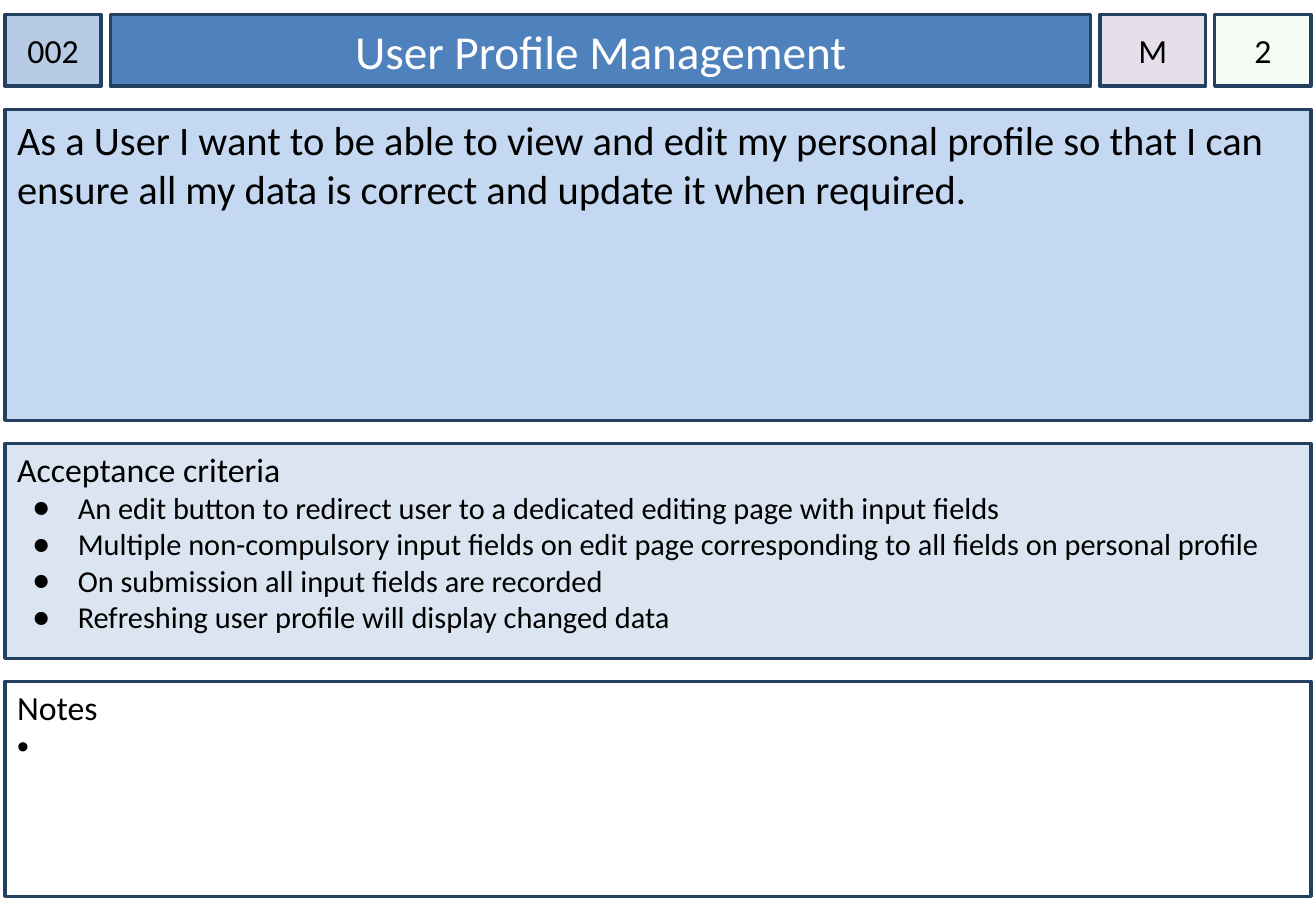
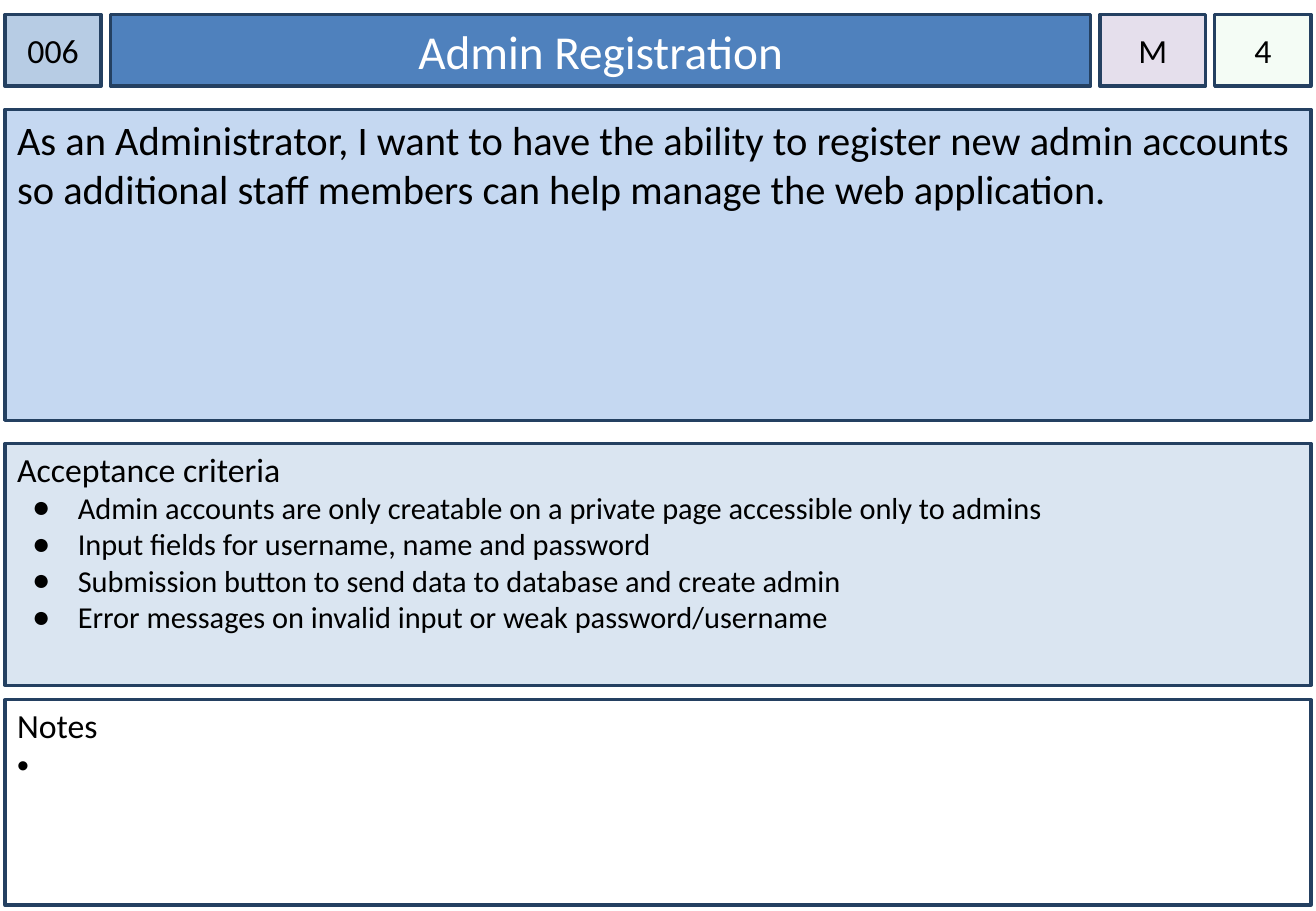
from dataclasses import dataclass

from lxml.etree import SubElement
from pptx import Presentation
from pptx.dml.color import RGBColor
from pptx.enum.shapes import MSO_SHAPE as Shape
from pptx.enum.text import MSO_ANCHOR as Anchor, MSO_AUTO_SIZE as AutoSize, PP_ALIGN as Align
from pptx.oxml.ns import qn
from pptx.util import Pt


@dataclass(frozen=True)
class Theme:
    font: str = "Calibri"
    title_size: float = 28
    story_size: float = 24
    label_size: float = 20
    item_size: float = 18
    border_width: float = 2
    text: str = "000000"
    title_text: str = "FFFFFF"
    border: str = "244061"
    number_fill: str = "B7CCE4"
    title_fill: str = "4F81BD"
    priority_fill: str = "E5DFEC"
    points_fill: str = "CCF0CD"
    points_opacity: int = 20
    story_fill: str = "C5D8F1"
    criteria_fill: str = "DAE5F1"
    remarks_fill: str = "FFFFFF"


T = Theme()
SLIDE_W, SLIDE_H = 780, 540
MARGIN, WIDTH = 3, 774
HEADER_TOP, HEADER_H = 8.6, 42.5
HEADER_WIDTHS, HEADER_GAP = (57, 581, 62.5, 57), 5.5
PANEL_GAP, STORY_H = 13.7, 184.4
INSET_X, INSET_Y, PANEL_INSET_Y = 7.2, 3.6, 3

CARDS = [
    {
        "number": "002", "title": "User Profile Management", "priority": "M", "points": "2",
        "story": "As a User I want to be able to view and edit my personal profile so that "
                 "I can ensure all my data is correct and update it when required.",
        "criteria": [
            "An edit button to redirect user to a dedicated editing page with input fields",
            "Multiple non-compulsory input fields on edit page corresponding to all fields "
            "on personal profile",
            "On submission all input fields are recorded",
            "Refreshing user profile will display changed data",
        ],
        "criteria_h": 127.4, "remarks_gap": PANEL_GAP, "remarks_h": 127.4,
    },
    {
        "number": "006", "title": "Admin Registration", "priority": "M", "points": "4",
        "story": "As an Administrator, I want to have the ability to register new admin accounts "
                 "so additional staff members can help manage the web application.",
        "criteria": [
            "Admin accounts are only creatable on a private page accessible only to admins",
            "Input fields for username, name and password",
            "Submission button to send data to database and create admin",
            "Error messages on invalid input or weak password/username",
        ],
        "criteria_h": 143.3, "remarks_gap": 8.6, "remarks_h": 121.7,
    },
]


def set_all(target, values):
    for name, value in values.items():
        setattr(target, name, value)


def style_box(s, box, fill, anchor=Anchor.TOP, inset_x=INSET_X, top=INSET_Y):
    """Place a shape or placeholder, and give it the card border, fill and insets."""
    set_all(s, dict(zip(("left", "top", "width", "height"), map(Pt, box))))
    s.fill.solid()
    s.fill.fore_color.rgb = RGBColor.from_string(fill)
    s.line.color.rgb = RGBColor.from_string(T.border)
    s.line.width = Pt(T.border_width)
    tf = s.text_frame
    set_all(tf, {
        "word_wrap": True, "auto_size": AutoSize.NONE, "vertical_anchor": anchor,
        "margin_left": Pt(inset_x), "margin_right": Pt(inset_x),
        "margin_top": Pt(top), "margin_bottom": Pt(INSET_Y),
    })
    return tf


def add_box(slide, box, fill, **style):
    s = slide.shapes.add_shape(Shape.RECTANGLE, *map(Pt, box))
    s.shadow.inherit = False
    style_box(s, box, fill, **style)
    return s


def write(p, text, size, color=T.text, align=Align.LEFT):
    p.alignment = align
    r = p.add_run()
    r.text = text
    set_all(r.font, {"name": T.font, "size": Pt(size)})
    r.font.color.rgb = RGBColor.from_string(color)


def add_bullet(tf, text, size, char, margin, hanging):
    p = tf.add_paragraph()
    pPr = p._p.get_or_add_pPr()
    pPr.set("marL", str(Pt(margin)))
    pPr.set("indent", str(-Pt(hanging)))
    SubElement(SubElement(pPr, qn("a:buClr")), qn("a:srgbClr"), val=T.text)
    SubElement(pPr, qn("a:buFont"), typeface="Arial")
    SubElement(pPr, qn("a:buChar"), char=char)
    write(p, text, size)


def set_opacity(s, percent):
    color = s.element.spPr.find(qn("a:solidFill"))[0]
    SubElement(color, qn("a:alpha"), val=str(percent * 1000))


def add_badge(slide, box, fill, text):
    s = add_box(slide, box, fill, anchor=Anchor.MIDDLE, inset_x=0)
    write(s.text_frame.paragraphs[0], text, T.label_size, align=Align.CENTER)
    return s


def add_header(slide, card):
    boxes, left = [], MARGIN
    for width in HEADER_WIDTHS:
        boxes.append((left, HEADER_TOP, width, HEADER_H))
        left += width + HEADER_GAP
    number_box, title_box, priority_box, points_box = boxes

    tf = style_box(slide.shapes.title, title_box, T.title_fill, anchor=Anchor.MIDDLE)
    write(tf.paragraphs[0], card["title"], T.title_size, T.title_text, Align.CENTER)
    add_badge(slide, number_box, T.number_fill, card["number"])
    add_badge(slide, priority_box, T.priority_fill, card["priority"])
    set_opacity(add_badge(slide, points_box, T.points_fill, card["points"]), T.points_opacity)


def add_panel(slide, top, height, fill, text, size=T.label_size, inset=PANEL_INSET_Y):
    """Add a full-width panel that opens with text; return its text frame."""
    s = add_box(slide, (MARGIN, top, WIDTH, height), fill, top=inset)
    write(s.text_frame.paragraphs[0], text, size)
    return s.text_frame


def add_card(prs, card):
    slide = prs.slides.add_slide(prs.slide_layouts[5])
    add_header(slide, card)

    top = HEADER_TOP + HEADER_H + PANEL_GAP
    add_panel(slide, top, STORY_H, T.story_fill, card["story"], T.story_size, INSET_Y)

    top += STORY_H + PANEL_GAP
    tf = add_panel(slide, top, card["criteria_h"], T.criteria_fill, "Acceptance criteria")
    for item in card["criteria"]:
        add_bullet(tf, item, T.item_size, "●", margin=36, hanging=27)

    top += card["criteria_h"] + card["remarks_gap"]
    tf = add_panel(slide, top, card["remarks_h"], T.remarks_fill, "Notes")
    add_bullet(tf, " ", T.label_size, "•", margin=14.4, hanging=14.4)


def main():
    prs = Presentation()
    set_all(prs, {"slide_width": Pt(SLIDE_W), "slide_height": Pt(SLIDE_H)})
    for card in CARDS:
        add_card(prs, card)
    prs.save("out.pptx")


if __name__ == "__main__":
    main()
